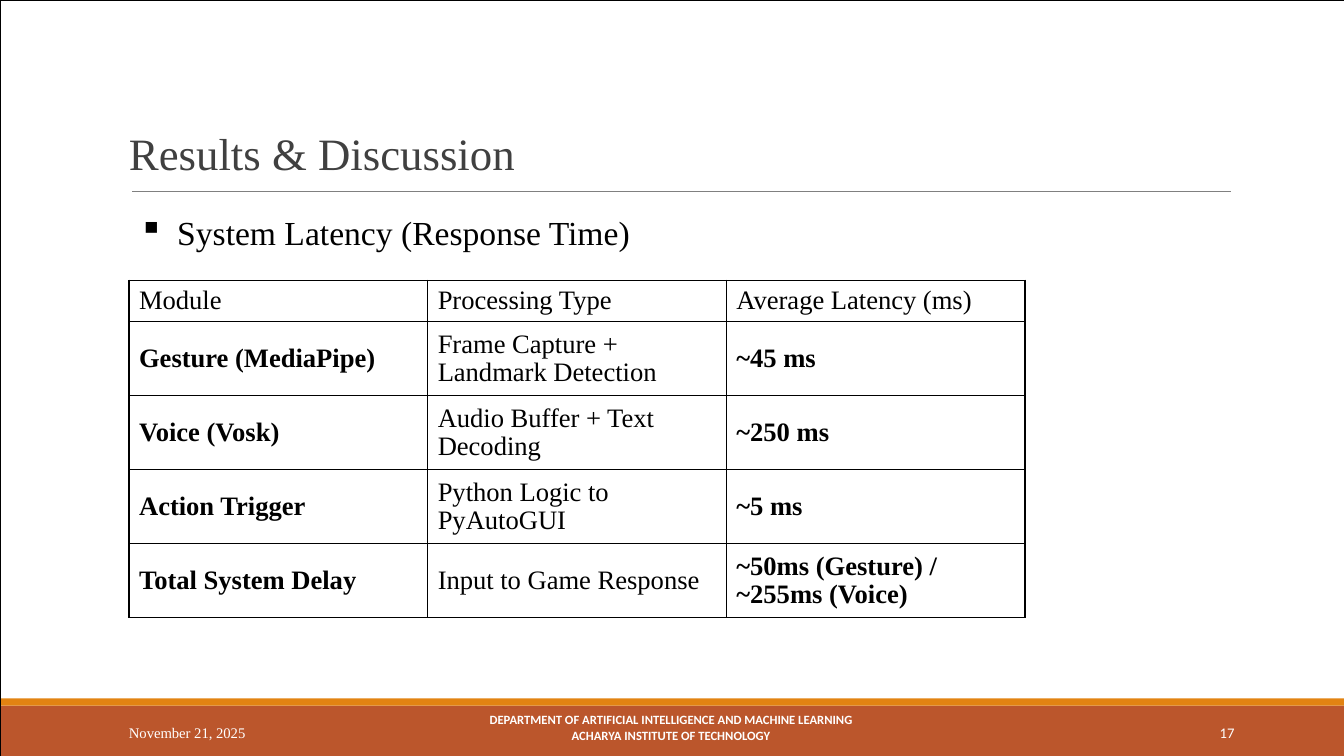
from lxml import etree
from pptx import Presentation
from pptx import util as u
from pptx.dml.color import RGBColor
from pptx.enum import shapes, text
from pptx.oxml import ns

WHITE = RGBColor(0xFF, 0xFF, 0xFF)
BLACK = RGBColor(0, 0, 0)
CHARCOAL = RGBColor(0x40, 0x40, 0x40)
GREY = RGBColor(0x80, 0x80, 0x80)
RUST = RGBColor(0xBB, 0x56, 0x2C)
ORANGE = RGBColor(0xE2, 0x83, 0x12)
SERIF, SANS = "Times New Roman", "Calibri"
COLS, ROWS = 160, 90
LEFT = 15.36

LATENCY = [
    ("Module", "Processing Type", "Average Latency (ms)"),
    ("Gesture (MediaPipe)", "Frame Capture + Landmark Detection", "~45 ms"),
    ("Voice (Vosk)", "Audio Buffer + Text Decoding", "~250 ms"),
    ("Action Trigger", "Python Logic to PyAutoGUI", "~5 ms"),
    ("Total System Delay", "Input to Game Response", "~50ms (Gesture) / ~255ms (Voice)"),
]


class Deck:
    def __init__(self):
        self.prs = Presentation()
        self.prs.slide_width, self.prs.slide_height = u.Inches(13.33), u.Inches(7.5)
        self.s = self.prs.slides.add_slide(self.prs.slide_layouts[6])

    def x(self, col):
        return round(self.prs.slide_width * col / COLS)

    def y(self, row):
        return round(self.prs.slide_height * row / ROWS)

    def area(self, col, row, width, height):
        return self.x(col), self.y(row), self.x(width), self.y(height)

    def style(self, p, size, color, font=SERIF, bold=False):
        for r in p.runs:
            r.font.size, r.font.name, r.font.bold = u.Pt(size), font, bold
            r.font.color.rgb = color

    def bar(self, area, fill=None, line=None):
        sp = self.s.shapes.add_shape(shapes.MSO_SHAPE.RECTANGLE, *self.area(*area))
        sp.shadow.inherit = False
        if fill is None:
            sp.fill.background()
        else:
            sp.fill.solid()
            sp.fill.fore_color.rgb = fill
        if line is None:
            sp.line.fill.background()
        else:
            sp.line.color.rgb, sp.line.width = line, u.Pt(0.25)

    def rule(self, start, end, row, color):
        ln = self.s.shapes.add_connector(
            shapes.MSO_CONNECTOR.STRAIGHT, self.x(start), self.y(row), self.x(end), self.y(row))
        ln.line.color.rgb, ln.line.width = color, u.Pt(0.75)
        etree.SubElement(ln._element.spPr, ns.qn("a:effectLst"))

    def label(self, area, lines, size, color, font=SERIF, bold=False, align=None,
              spacing=None, top=0, side=0, bullet=None):
        tf = self.s.shapes.add_textbox(*self.area(*area)).text_frame
        tf.word_wrap = True
        tf.margin_left = tf.margin_right = u.Inches(side)
        tf.margin_top, tf.margin_bottom = u.Inches(top), 0
        tf.text = lines
        for p in tf.paragraphs:
            p.alignment = align
            if spacing:
                p.line_spacing = u.Pt(spacing)
            if bullet:
                pPr = p._p.get_or_add_pPr()
                pPr.set("marL", str(u.Inches(0.38)))
                pPr.set("indent", str(-u.Inches(0.38)))
                etree.SubElement(pPr, ns.qn("a:buChar"), char=bullet)
            self.style(p, size, color, font, bold)

    def borders(self, cell):
        tcPr = cell._tc.get_or_add_tcPr()
        for i, side in enumerate(("lnL", "lnR", "lnT", "lnB")):
            ln = etree.Element(ns.qn(f"a:{side}"), w=str(u.Pt(1)))
            fill = etree.SubElement(ln, ns.qn("a:solidFill"))
            etree.SubElement(fill, ns.qn("a:srgbClr"), val=str(BLACK))
            tcPr.insert(i, ln)

    def table(self, area, rows, header_height, size):
        tb = self.s.shapes.add_table(len(rows), len(rows[0]), *self.area(*area)).table
        tb.first_row = tb.horz_banding = False
        body_height = (area[3] - header_height) / (len(rows) - 1)
        for i, values in enumerate(rows):
            tb.rows[i].height = self.y(body_height if i else header_height)
            for j, value in enumerate(values):
                cell = tb.cell(i, j)
                cell.text = value
                cell.vertical_anchor = text.MSO_ANCHOR.MIDDLE
                cell.fill.background()
                self.borders(cell)
                p = cell.text_frame.paragraphs[0]
                p.line_spacing = 0.95
                self.style(p, size, BLACK, bold=i > 0 and j != 1)


def main():
    d = Deck()
    d.bar((0, 84, COLS, 6), RUST)
    d.bar((0, 83.16, COLS, 0.84), ORANGE)
    d.rule(15.72, 146.52, 22.8, GREY)
    d.bar((0, 0, COLS, ROWS), line=BLACK)
    d.label((LEFT, 7.56, 88.2, 14.88), "Results & Discussion", 32, CHARCOAL, top=0.7)
    d.label((58.2, 84.6, 43.32, 3.72),
            "DEPARTMENT OF ARTIFICIAL INTELLIGENCE AND MACHINE LEARNING\n"
            "ACHARYA INSTITUTE OF TECHNOLOGY",
            9, WHITE, SANS, True, text.PP_ALIGN.CENTER, 11.4)
    d.table((LEFT, 33.36, 106.68, 40.2), LATENCY, 4.95, 19)
    d.label((LEFT, 24.6, 70.56, 6), "System Latency (Response Time)", 24, BLACK,
            top=0.05, side=0.1, bullet="▪")
    d.label((LEFT, 86.16, 36.84, 2.16), "November 21, 2025", 10.5, WHITE)
    d.label((143.76, 86.4, 5.28, 2.16), "17", 10.5, WHITE, SANS, spacing=11.4, side=0.12)
    d.prs.save("out.pptx")


if __name__ == "__main__":
    main()
